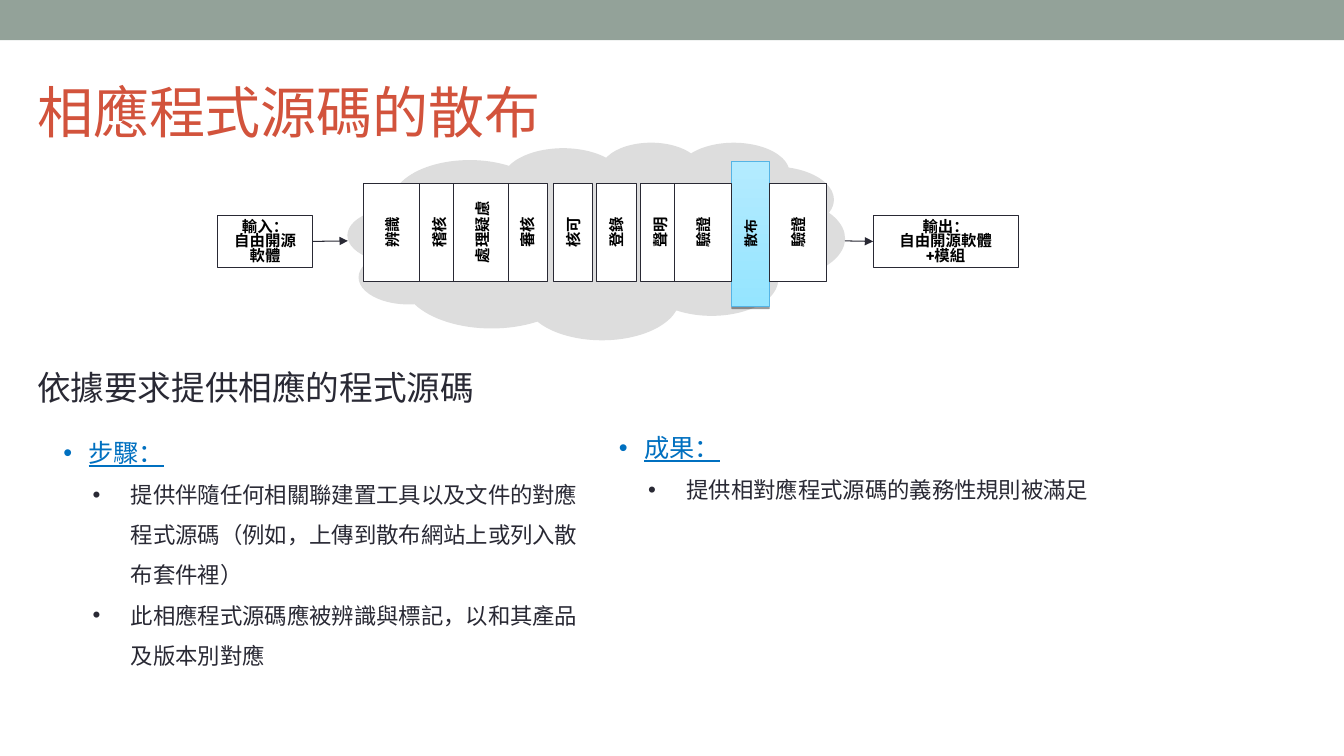
from lxml.etree import SubElement
from pptx import Presentation
from pptx.dml.color import RGBColor
from pptx.enum.shapes import MSO_CONNECTOR as Connector, MSO_SHAPE as Shape
from pptx.enum.text import MSO_ANCHOR as Anchor, PP_ALIGN as Align
from pptx.oxml import parse_xml
from pptx.oxml.ns import nsdecls, qn
from pptx.util import Inches, Pt

WIDTH, HEIGHT = 13.33, 7.5
INK, BLUE, BLACK, WHITE = "292934", "0070C0", "000000", "FFFFFF"

# Left edge within the diagram, width and label of each process step
STEPS = [
    (1.45, 0.57, "辨識"), (2.0, 0.39, "稽核"), (2.34, 0.57, "處理疑慮"),
    (2.88, 0.39, "審核"), (3.76, 0.39, "登錄"), (4.19, 0.39, "聲明"),
    (4.53, 0.57, "驗證"), (3.33, 0.39, "核可"), (5.47, 0.57, "驗證"),
]


def color(code):
    return RGBColor.from_string(code)


def set_font(paragraph, size, code, bold=False):
    font = paragraph.font
    font.name, font.size, font.bold = "Roboto", Pt(size), bold
    font.color.rgb = color(code)


def add_block(slide, kind, box, fill, line=None):
    shape = slide.shapes.add_shape(kind, *map(Inches, box))
    shape.shadow.inherit = False
    shape.fill.solid()
    shape.fill.fore_color.rgb = color(fill)
    if line:
        shape.line.color.rgb = color(line)
        shape.line.width = Pt(0.75)
    else:
        shape.line.fill.background()
    return shape


def write_label(shape, lines, size, anchor, spacing=None):
    frame = shape.text_frame
    frame.word_wrap = True
    frame.vertical_anchor = anchor
    for index, text in enumerate(lines):
        paragraph = frame.add_paragraph() if index else frame.paragraphs[0]
        paragraph.text = text
        paragraph.alignment = Align.CENTER
        paragraph.line_spacing = spacing
        set_font(paragraph, size, BLACK, bold=True)


def add_step(slide, box, label, size=11, line=INK):
    """Upright bar whose label reads upwards; box is the bar as it appears."""
    left, top, width, height = box
    shift = (height - width) / 2
    bar = add_block(slide, Shape.RECTANGLE,
                    (left - shift, top + shift, height, width), WHITE, line)
    bar.rotation = 270
    write_label(bar, [label], size, Anchor.MIDDLE)
    return bar


def highlight(bar):
    bar.fill.gradient()
    bar.fill.gradient_angle = 0
    for stop, code in zip(bar.fill.gradient_stops, ("95E5FF", "B4EBFF")):
        stop.color.rgb = color(code)
    effects = bar.element.spPr.find(qn("a:effectLst"))
    effects.append(parse_xml(
        f'<a:outerShdw {nsdecls("a")} blurRad="0" dist="20320" dir="5400000" '
        'rotWithShape="0"><a:srgbClr val="000000"><a:alpha val="38000"/>'
        '</a:srgbClr></a:outerShdw>'))


def add_arrow(slide, start, end):
    arrow = slide.shapes.add_connector(Connector.STRAIGHT, *map(Inches, start + end))
    arrow.line.color.rgb = color(INK)
    arrow.line.width = Pt(0.75)
    SubElement(arrow.line._get_or_add_ln(), qn("a:tailEnd"), type="triangle")
    SubElement(arrow.element.spPr, qn("a:effectLst"))
    return arrow


def add_process(slide, left, top, width, height):
    cloud_left, cloud_width = left + 1.29, 4.93
    cloud_right = cloud_left + cloud_width
    add_block(slide, Shape.CLOUD, (cloud_left, top, cloud_width, height), "DDDDDD")
    highlight(add_step(slide, (left + 5.1, top + 0.19, 0.37, 1.44), "散布", 10, "55B4E5"))
    for offset, step_width, label in STEPS:
        add_step(slide, (left + offset, top + 0.41, step_width, 0.97), label)

    ends = []
    for end_left, end_width, lines in (
            (left, 0.94, ["輸入：", "自由開源軟體"]),
            (left + width - 1.44, 1.44, ["輸出：", "自由開源軟體", "+模組"])):
        end = add_block(slide, Shape.RECTANGLE,
                        (end_left, top + 0.73, end_width, 0.51), WHITE, INK)
        write_label(end, lines, 11, Anchor.TOP, Pt(10.5))
        ends.append(end)
    source, result = ends
    middle = top + 0.98
    add_arrow(slide, (left + 0.94, middle), (cloud_left, middle)).begin_connect(source, 3)
    add_arrow(slide, (cloud_right, middle), (left + width - 1.44, middle)).end_connect(result, 1)


def add_text_frame(slide, box):
    frame = slide.shapes.add_textbox(*map(Inches, box)).text_frame
    frame.word_wrap = True
    return frame


def add_heading(slide, box, text, size, code, anchor=Anchor.TOP):
    frame = add_text_frame(slide, box)
    frame.vertical_anchor = anchor
    frame.text = text
    set_font(frame.paragraphs[0], size, code)


def add_bullet(paragraph, margin, indent, code):
    properties = paragraph._p.get_or_add_pPr()
    properties.set("marL", str(Inches(margin)))
    properties.set("indent", str(Inches(indent)))
    bullet_color = SubElement(properties, qn("a:buClr"))
    SubElement(bullet_color, qn("a:srgbClr"), val=code)
    SubElement(properties, qn("a:buFont"), typeface="Arial")
    SubElement(properties, qn("a:buChar"), char="•")


def add_list(slide, box, title, items):
    frame = add_text_frame(slide, box)
    heading = frame.paragraphs[0]
    heading.text = title
    heading.line_spacing = 0.9
    add_bullet(heading, 0.25, -0.25, BLUE)
    set_font(heading, 18, BLUE)
    heading.font.underline = True
    for item in items:
        paragraph = frame.add_paragraph()
        paragraph.text = item
        paragraph.line_spacing = 1.5
        add_bullet(paragraph, 0.67, -0.38, INK)
        set_font(paragraph, 16, INK)


def main():
    presentation = Presentation()
    presentation.slide_width, presentation.slide_height = Inches(WIDTH), Inches(HEIGHT)
    slide = presentation.slides.add_slide(presentation.slide_layouts[6])
    add_block(slide, Shape.RECTANGLE, (0, 0, WIDTH, 0.4), "93A299")
    add_process(slide, 2.16, 1.41, 7.94, 1.96)
    add_list(slide, (6.04, 4.27, 6.61, 2.52), "成果：",
             ["提供相對應程式源碼的義務性規則被滿足"])
    add_list(slide, (0.53, 4.32, 5.4, 3.03), "步驟：", [
        "提供伴隨任何相關聯建置工具以及文件的對應程式源碼"
        "（例如，上傳到散布網站上或列入散布套件裡）",
        "此相應程式源碼應被辨識與標記，以和其產品及版本別對應"])
    add_heading(slide, (0.27, 3.59, 13.06, 0.5), "依據要求提供相應的程式源碼", 24, INK)
    add_heading(slide, (0.27, 0.56, 12, 1.08), "相應程式源碼的散布", 40, "D2533C",
                Anchor.MIDDLE)
    presentation.save("out.pptx")


if __name__ == "__main__":
    main()
